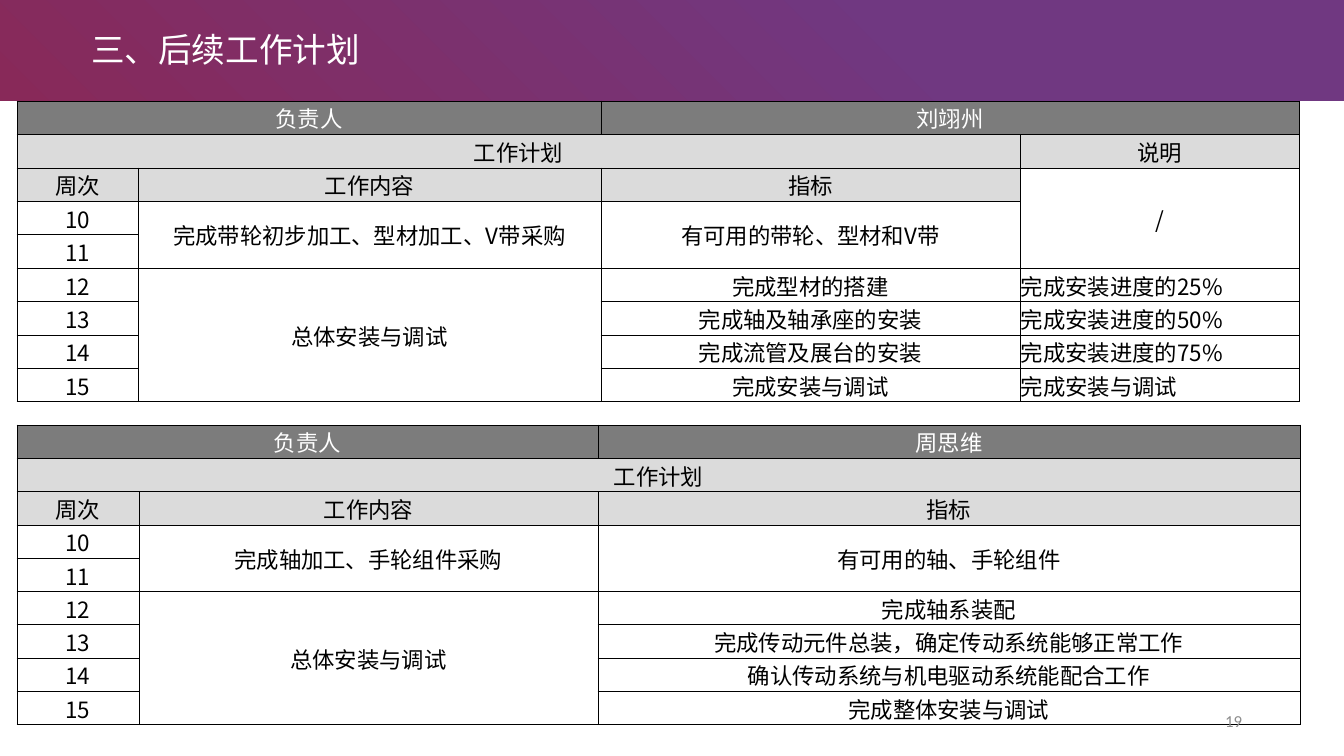
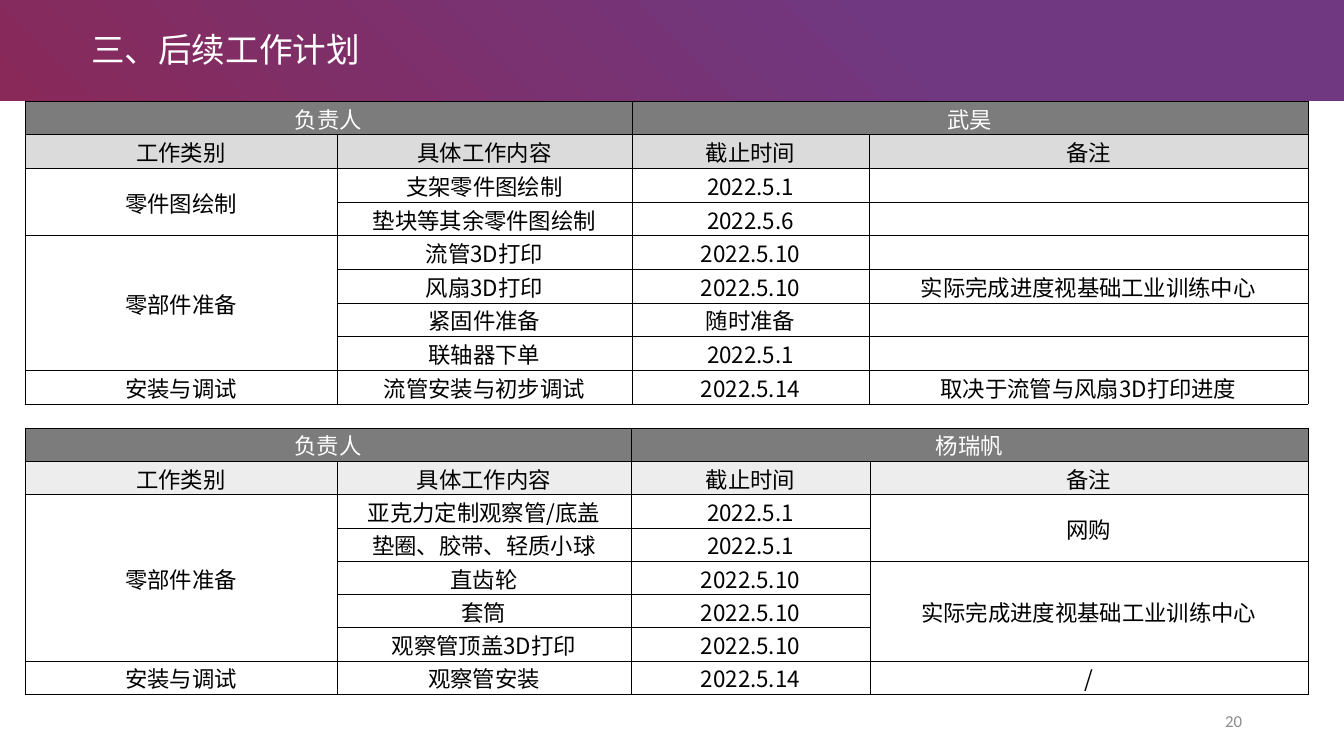
from lxml import etree
from pptx import Presentation
from pptx.dml.color import RGBColor
from pptx.enum.shapes import MSO_SHAPE
from pptx.enum.text import MSO_ANCHOR, PP_ALIGN
from pptx.oxml.ns import qn
from pptx.util import Emu, Pt

# Colours and fonts
WHITE = RGBColor(0xFF, 0xFF, 0xFF)
BLACK = RGBColor(0x00, 0x00, 0x00)
PURPLE = RGBColor(0x70, 0x38, 0x81)
CRIMSON = RGBColor(0x88, 0x29, 0x59)
DARK_GREY = RGBColor(0x7C, 0x7C, 0x7C)
MID_GREY = RGBColor(0xDB, 0xDB, 0xDB)
PALE_GREY = RGBColor(0xED, 0xED, 0xED)
NUMBER_GREY = RGBColor(0x8C, 0x8C, 0x8C)
CJK_FONT = "Noto Sans CJK SC"

# Slide size in px, and the scale to EMU
WIDTH, HEIGHT = 1344, 756
EMU_PER_PX = 914400 / 100.8

# Table markers: the cell continues its left or upper neighbour
LEFT, UP = object(), object()


def px(n):
    return Emu(round(n * EMU_PER_PX))


class Deck:
    def __init__(self):
        self.prs = Presentation()
        self.prs.slide_width, self.prs.slide_height = px(WIDTH), px(HEIGHT)
        self.slide = None

    def add_slide(self, title):
        self.slide = self.prs.slides.add_slide(self.prs.slide_layouts[5])
        self.band()
        self.title(title)

    def style(self, p, size, color, font, align):
        p.alignment = align
        for r in p.runs:
            r.font.size = Pt(size)
            r.font.color.rgb = color
            r.font.name = font
            etree.SubElement(r.font._element, qn("a:ea"), typeface=CJK_FONT)

    def band(self):
        sp = self.slide.shapes.add_shape(MSO_SHAPE.RECTANGLE, 0, 0, px(WIDTH), px(101))
        sp.shadow.inherit = False
        sp.line.fill.background()
        sp.fill.gradient()
        sp.fill.gradient_angle = 225
        stops = ((0.32, PURPLE), (1, CRIMSON))
        for stop, (position, color) in zip(sp.fill.gradient_stops, stops):
            stop.position = position
            stop.color.rgb = color
        # Keep the band behind the title
        self.slide.shapes._spTree.insert(2, sp._element)

    def title(self, text):
        sp = self.slide.shapes.title
        sp.left, sp.top, sp.width, sp.height = px(81), px(24), px(1171), px(50)
        tf = sp.text_frame
        tf.text = text
        tf.margin_top = tf.margin_bottom = 0
        tf.vertical_anchor = MSO_ANCHOR.MIDDLE
        self.style(tf.paragraphs[0], 24, WHITE, "Arial", PP_ALIGN.LEFT)

    def page_number(self, number):
        tf = self.slide.shapes.add_textbox(px(950), px(701), px(302), px(40)).text_frame
        tf.word_wrap = True
        tf.vertical_anchor = MSO_ANCHOR.MIDDLE
        tf.text = str(number)
        self.style(tf.paragraphs[0], 12, NUMBER_GREY, "Calibri", PP_ALIGN.RIGHT)

    def borders(self, cell):
        tc_pr = cell._tc.get_or_add_tcPr()
        for side in ("a:lnL", "a:lnR", "a:lnT", "a:lnB"):
            ln = etree.SubElement(tc_pr, qn(side), w=str(Pt(0.5)))
            fill = etree.SubElement(ln, qn("a:solidFill"))
            etree.SubElement(fill, qn("a:srgbClr"), val=str(BLACK))

    def cell(self, cell, text, fill, color, align):
        cell.margin_left = cell.margin_right = cell.margin_top = px(1)
        cell.margin_bottom = 0
        cell.vertical_anchor = MSO_ANCHOR.MIDDLE
        self.borders(cell)
        if fill is None:
            cell.fill.background()
        else:
            cell.fill.solid()
            cell.fill.fore_color.rgb = fill
        if text:
            cell.text_frame.text = text
            self.style(cell.text_frame.paragraphs[0], 16, color, CJK_FONT, align)

    def table(self, x, y, height, widths, rows, head_rows=2, head_fill=MID_GREY, left_cells=()):
        n_rows, n_cols = len(rows), len(widths)
        table = self.slide.shapes.add_table(
            n_rows, n_cols, px(x), px(y), px(sum(widths)), px(height)).table
        table.first_row = table.horz_banding = False
        for column, width in zip(table.columns, widths):
            column.width = px(width)
        for row in table.rows:
            row.height = px(height / n_rows)

        for i, row in enumerate(rows):
            for j, text in enumerate(row):
                fill, color = None, BLACK
                if i == 0:
                    fill, color = DARK_GREY, WHITE
                elif i < head_rows and text != "/":
                    fill = head_fill
                align = PP_ALIGN.LEFT if (i, j) in left_cells else PP_ALIGN.CENTER
                shown = "" if text in (LEFT, UP) else text
                self.cell(table.cell(i, j), shown, fill, color, align)

        # Merge each cell with the markers that follow it
        for i, row in enumerate(rows):
            for j, text in enumerate(row):
                if text in (LEFT, UP):
                    continue
                right, bottom = j, i
                while right + 1 < n_cols and row[right + 1] is LEFT:
                    right += 1
                while bottom + 1 < n_rows and rows[bottom + 1][j] is UP:
                    bottom += 1
                if (bottom, right) != (i, j):
                    table.cell(i, j).merge(table.cell(bottom, right))


TITLE = "三、后续工作计划"
TASK_HEADS = ["工作类别", "具体工作内容", "截止时间", "备注"]

WEEKS_LIU = [
    ["负责人", LEFT, "刘翊州", LEFT],
    ["工作计划", LEFT, LEFT, "说明"],
    ["周次", "工作内容", "指标", "/"],
    ["10", "完成带轮初步加工、型材加工、V带采购", "有可用的带轮、型材和V带", UP],
    ["11", UP, UP, UP],
    ["12", "总体安装与调试", "完成型材的搭建", "完成安装进度的25%"],
    ["13", UP, "完成轴及轴承座的安装", "完成安装进度的50%"],
    ["14", UP, "完成流管及展台的安装", "完成安装进度的75%"],
    ["15", UP, "完成安装与调试", "完成安装与调试"],
]
WEEKS_ZHOU = [
    ["负责人", LEFT, "周思维"],
    ["工作计划", LEFT, LEFT],
    ["周次", "工作内容", "指标"],
    ["10", "完成轴加工、手轮组件采购", "有可用的轴、手轮组件"],
    ["11", UP, UP],
    ["12", "总体安装与调试", "完成轴系装配"],
    ["13", UP, "完成传动元件总装，确定传动系统能够正常工作"],
    ["14", UP, "确认传动系统与机电驱动系统能配合工作"],
    ["15", UP, "完成整体安装与调试"],
]
TASKS_WU = [
    ["负责人", LEFT, "武昊", LEFT],
    TASK_HEADS,
    ["零件图绘制", "支架零件图绘制", "2022.5.1", ""],
    [UP, "垫块等其余零件图绘制", "2022.5.6", ""],
    ["零部件准备", "流管3D打印", "2022.5.10", ""],
    [UP, "风扇3D打印", "2022.5.10", "实际完成进度视基础工业训练中心"],
    [UP, "紧固件准备", "随时准备", ""],
    [UP, "联轴器下单", "2022.5.1", ""],
    ["安装与调试", "流管安装与初步调试", "2022.5.14", "取决于流管与风扇3D打印进度"],
]
TASKS_YANG = [
    ["负责人", LEFT, "杨瑞帆", LEFT],
    TASK_HEADS,
    ["零部件准备", "亚克力定制观察管/底盖", "2022.5.1", "网购"],
    [UP, "垫圈、胶带、轻质小球", "2022.5.1", UP],
    [UP, "直齿轮", "2022.5.10", "实际完成进度视基础工业训练中心"],
    [UP, "套筒", "2022.5.10", UP],
    [UP, "观察管顶盖3D打印", "2022.5.10", UP],
    ["安装与调试", "观察管安装", "2022.5.14", "/"],
]


def main():
    deck = Deck()

    # Weekly plans
    deck.add_slide(TITLE)
    progress_notes = [(i, 3) for i in range(5, 9)]
    deck.table(17, 101, 301, [121, 463, 419, 279], WEEKS_LIU, head_rows=3,
               left_cells=progress_notes)
    deck.table(17, 425, 300, [122, 459, 702], WEEKS_ZHOU, head_rows=3)
    deck.page_number(19)

    # Task lists with deadlines
    deck.add_slide(TITLE)
    deck.table(25, 101, 303, [312, 295, 237, 439], TASKS_WU)
    deck.table(25, 428, 266, [312, 294, 239, 438], TASKS_YANG, head_fill=PALE_GREY)
    deck.page_number(20)

    deck.prs.save("out.pptx")


if __name__ == "__main__":
    main()
